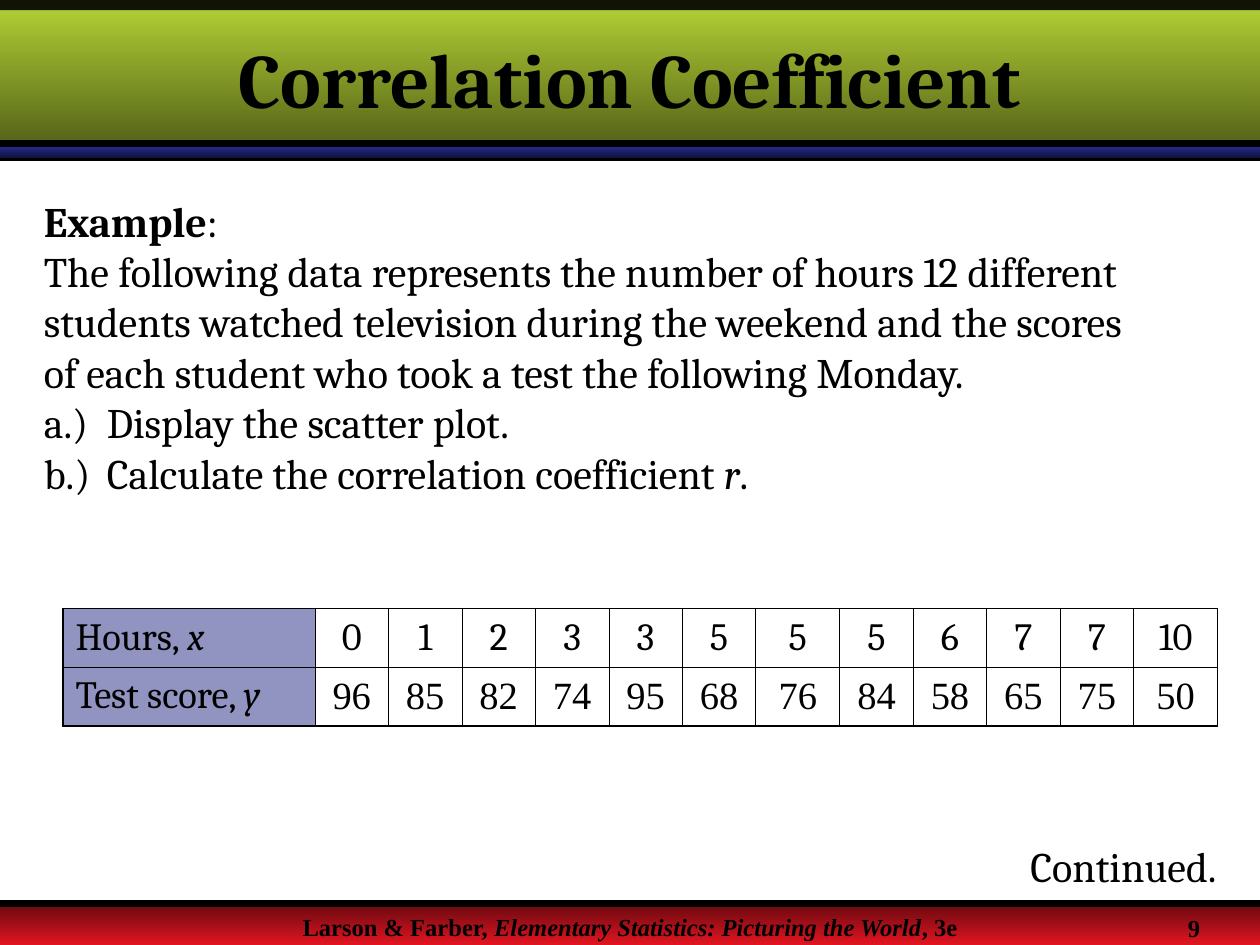
from dataclasses import dataclass

from lxml import etree
from pptx import Presentation
from pptx.dml.color import RGBColor
from pptx.enum import shapes, text
from pptx.oxml.ns import qn
from pptx.util import Inches, Pt

BLACK, NAVY = "000000", "242985"
SERIF, ROMAN = "Cambria", "Times New Roman"
WIDE = 10


@dataclass
class Band:
    top: float
    high: float
    start: str
    end: str = ""
    alpha: int = 100


@dataclass
class Rule:
    top: float


@dataclass
class Run:
    words: str
    bold: bool = False
    ital: bool = False


@dataclass
class Font:
    name: str
    size: float


DECOR = [
    Band(7.17, 0.33, "67090F", "E11521"),
    Rule(1.25),
    Band(1.17, 0.08, NAVY, "10123D"),
    Band(0, 1.17, "B5D335", "536118"),
    Rule(7.17),
    Band(0, 0.08, BLACK, alpha=90),
    Rule(1.14),
]
HOURS = [0, 1, 2, 3, 3, 5, 5, 5, 6, 7, 7, 10]
SCORES = [96, 85, 82, 74, 95, 68, 76, 84, 58, 65, 75, 50]
BROAD = (7, 12)  # columns a little wider than the rest


def color(code: str) -> RGBColor:
    return RGBColor.from_string(code)


def fade(parent, alpha: int) -> None:
    """Set the opacity, in percent, of the solid fill held by parent."""
    tone = parent.find(f"{qn('a:solidFill')}/{qn('a:srgbClr')}")
    etree.SubElement(tone, qn("a:alpha"), val=str(alpha * 1000))


def draw_band(slide, band: Band) -> None:
    box = slide.shapes.add_shape(shapes.MSO_SHAPE.RECTANGLE, 0, Inches(band.top),
                                 Inches(WIDE), Inches(band.high))
    box.shadow.inherit = False
    box.line.fill.background()
    if band.end:
        box.fill.gradient()
        box.fill.gradient_angle = 270
        for stop, code in zip(box.fill.gradient_stops, (band.start, band.end)):
            stop.color.rgb = color(code)
    else:
        box.fill.solid()
        box.fill.fore_color.rgb = color(band.start)
        fade(box._element.spPr, band.alpha)


def draw_rule(slide, rule: Rule) -> None:
    y = Inches(rule.top)
    line = slide.shapes.add_connector(shapes.MSO_CONNECTOR.STRAIGHT,
                                      0, y, Inches(WIDE), y)
    line.line.color.rgb = color(BLACK)
    line.line.width = Pt(4)
    etree.SubElement(line._element.spPr, qn("a:effectLst"))


def add_runs(para, runs: list[Run], font: Font, align=text.PP_ALIGN.LEFT) -> None:
    para.alignment = align
    for part in runs:
        run = para.add_run()
        run.text = part.words
        run.font.name, run.font.size = font.name, Pt(font.size)
        run.font.bold, run.font.italic = part.bold, part.ital
        run.font.color.rgb = color(BLACK)


def add_text(slide, area: tuple, paras: list[list[Run]], font: Font,
             align=text.PP_ALIGN.LEFT):
    frame = slide.shapes.add_textbox(*map(Inches, area)).text_frame
    frame.word_wrap = True
    for i, runs in enumerate(paras):
        para = frame.add_paragraph() if i else frame.paragraphs[0]
        add_runs(para, runs, font, align)
    return frame


def hang(para, inset: float) -> None:
    """Indent all but the label before the tab."""
    props = para._p.get_or_add_pPr()
    props.set("marL", str(Inches(inset)))
    props.set("indent", str(-Inches(inset)))


def add_edges(cell, thick: dict[str, bool]) -> None:
    props = cell._tc.get_or_add_tcPr()
    for side in "LRTB":
        width = Pt(1.08 if thick[side] else 0.45)
        edge = etree.SubElement(props, qn(f"a:ln{side}"), w=str(width))
        fill = etree.SubElement(edge, qn("a:solidFill"))
        etree.SubElement(fill, qn("a:srgbClr"), val=BLACK)


def add_data(slide) -> None:
    rows = [("Hours, ", "x", HOURS, SERIF), ("Test score, ", "y", SCORES, ROMAN)]
    last = len(HOURS)
    area = map(Inches, (0.5, 4.83, 9.17, 0.93))
    table = slide.shapes.add_table(len(rows), last + 1, *area).table
    table.first_row = table.horz_banding = False
    for c, col in enumerate(table.columns):
        col.width = Inches(2 if c == 0 else (8 if c in BROAD else 7) / 12)
    for r, (label, sign, values, face) in enumerate(rows):
        for c in range(last + 1):
            cell = table.cell(r, c)
            cell.vertical_anchor = text.MSO_ANCHOR.MIDDLE
            add_edges(cell, {"L": c == 0, "R": c == last,
                             "T": r == 0, "B": r == len(rows) - 1})
            para = cell.text_frame.paragraphs[0]
            if c == 0:
                cell.fill.solid()
                cell.fill.fore_color.rgb = color(NAVY)
                fade(cell._tc.tcPr, 50)
                add_runs(para, [Run(label), Run(sign, ital=True)], Font(SERIF, 22))
            else:
                cell.fill.background()
                add_runs(para, [Run(str(values[c - 1]))], Font(face, 22),
                         text.PP_ALIGN.CENTER)


def add_title(slide) -> None:
    title = slide.shapes.title
    title.left, title.top, title.width, title.height = map(Inches, (0, 0.08, WIDE, 1.08))
    title.text_frame.vertical_anchor = text.MSO_ANCHOR.MIDDLE
    add_runs(title.text_frame.paragraphs[0], [Run("Correlation Coefficient", bold=True)],
             Font(SERIF, 44), text.PP_ALIGN.CENTER)
    slide.shapes._spTree.append(title._element)  # bring in front of the bands


def main() -> None:
    deck = Presentation()
    deck.slide_width, deck.slide_height = Inches(WIDE), Inches(7.5)
    slide = deck.slides.add_slide(deck.slide_layouts[5])
    for item in DECOR:
        if isinstance(item, Band):
            draw_band(slide, item)
        else:
            draw_rule(slide, item)

    small, body = Font(ROMAN, 14), Font(SERIF, 24)
    add_text(slide, (0, 7.19, WIDE, 0.2), [[
        Run("Larson & Farber, ", bold=True),
        Run("Elementary Statistics: Picturing the World", bold=True, ital=True),
        Run(", 3e", bold=True)]], small, text.PP_ALIGN.CENTER)
    add_text(slide, (9.33, 7.2, 0.67, 0.3), [[Run("9", bold=True)]], small)
    add_title(slide)
    add_data(slide)
    frame = add_text(slide, (0.25, 1.5, 9, 2.9), [
        [Run("Example", bold=True), Run(":")],
        [Run("The following data represents the number of hours 12 different "
             "students watched television during the weekend and the scores of "
             "each student who took a test the following Monday.")],
        [Run("a.)\tDisplay the scatter plot.")],
        [Run("b.)\tCalculate the correlation coefficient "),
         Run("r", ital=True), Run(".")]], body)
    for para in frame.paragraphs[2:]:
        hang(para, 0.5)
    add_text(slide, (8.08, 6.62, 1.9, 0.5), [[Run("Continued.")]], body)
    deck.save("out.pptx")


if __name__ == "__main__":
    main()
